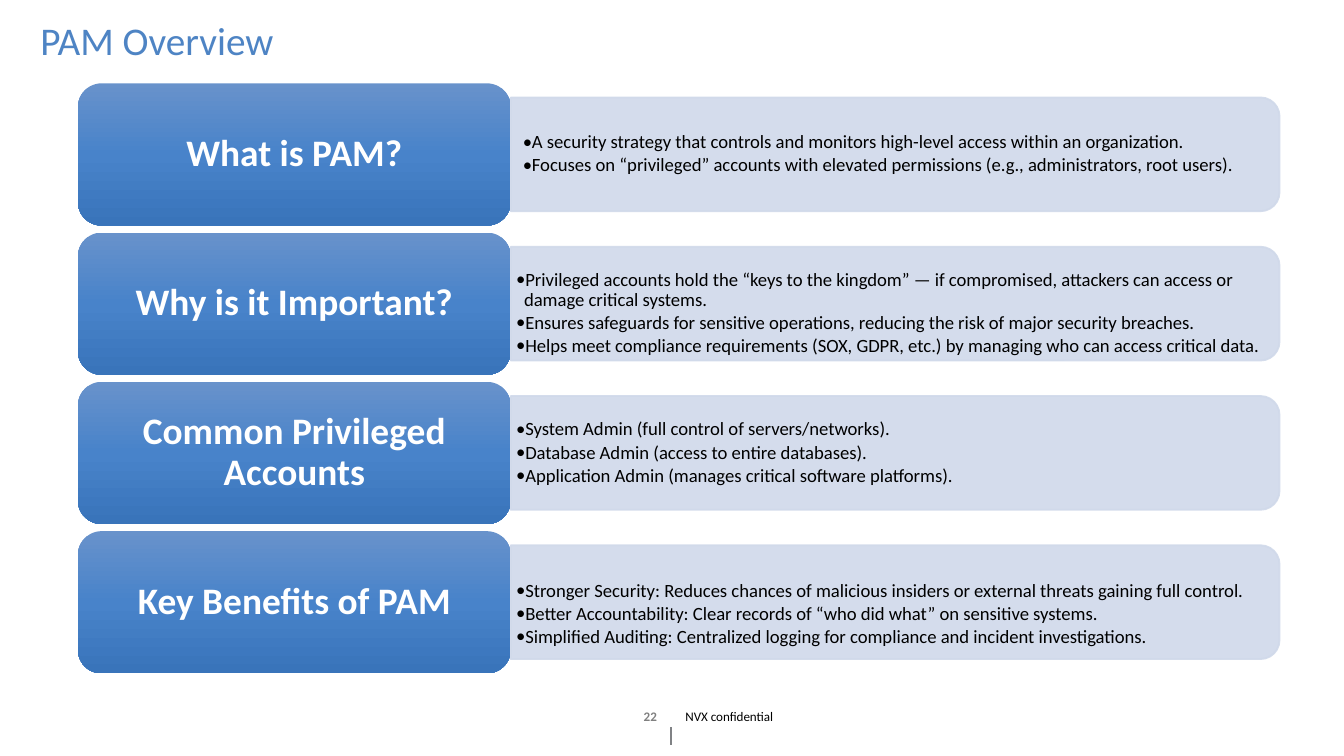
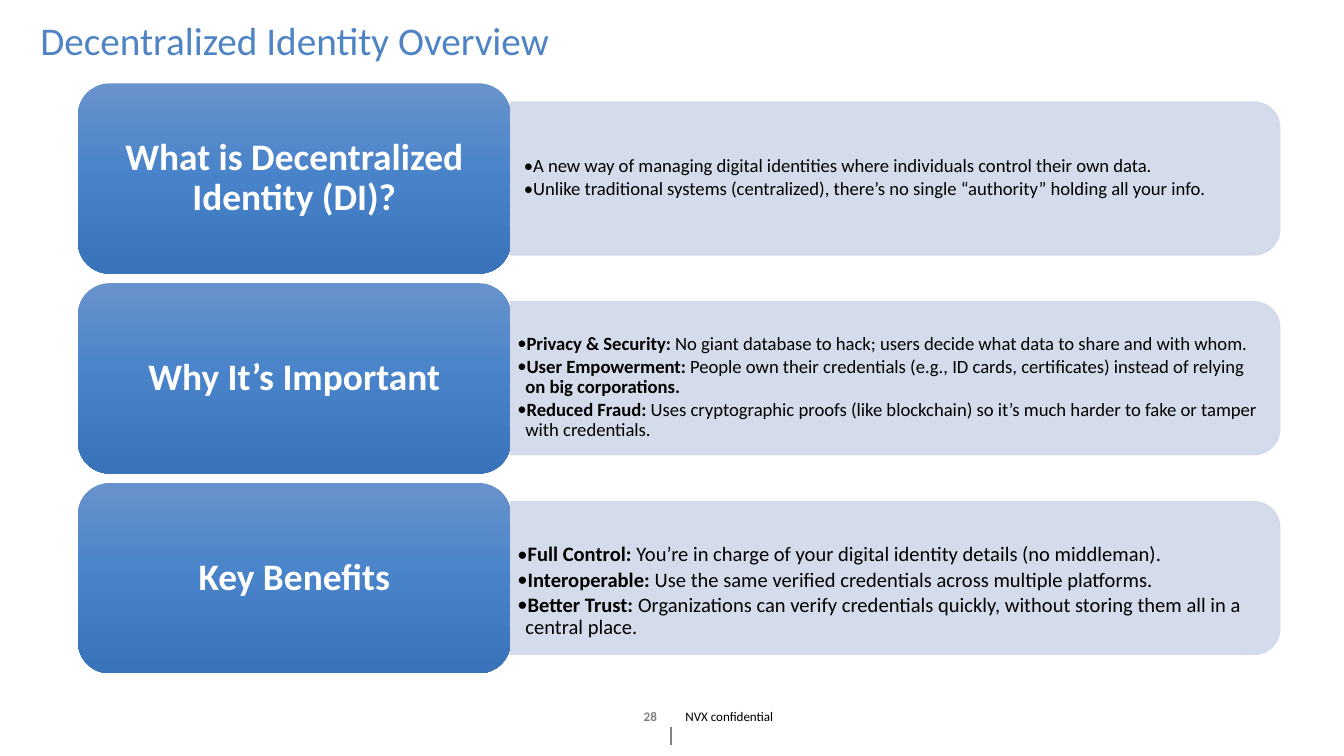
from copy import deepcopy

from lxml import etree
from pptx import Presentation
from pptx import util as u
from pptx.dml.color import RGBColor
from pptx.enum import shapes, text
from pptx.oxml.ns import qn

COLORS = {
    "title": "4E84C4", "body": "000000", "number": "808080", "rule": "808285",
    "panel": "D0D9EA", "header": "FFFFFF",
}
HEADER_GRADIENT = [(0, "6892CB"), (0.5, "4883CA"), (1, "3974BA")]
FONT = "Calibri"

# Columns and the band of rows, in inches
HEADER_LEFT, PANEL_LEFT, PANEL_RIGHT = 0.58, 3.8, 9.52
ROWS_TOP, ROWS_HEIGHT = 0.62, 4.39
GAP_SHARE, PANEL_SHARE, TEXT_SHARE = 0.05, 0.8, 0.72  # shares of a header's height
PANEL_WIDTH = PANEL_RIGHT - PANEL_LEFT

# Each row: header, bullets (*bold* parts), text size, side inset, downward shift
SLIDES = [
    ("PAM Overview", "22", [
        ("What is PAM?", [
            "A security strategy that controls and monitors high-level access within an organization.",
            "Focuses on “privileged” accounts with elevated permissions (e.g., administrators, root users).",
        ], 10, 0.09, 0),
        ("Why is it Important?", [
            "Privileged accounts hold the “keys to the kingdom” — if compromised, attackers can access or damage critical systems.",
            "Ensures safeguards for sensitive operations, reducing the risk of major security breaches.",
            "Helps meet compliance requirements (SOX, GDPR, etc.) by managing who can access critical data.",
        ], 10, 0.04, 0.07),
        ("Common Privileged Accounts", [
            "System Admin (full control of servers/networks).",
            "Database Admin (access to entire databases).",
            "Application Admin (manages critical software platforms).",
        ], 10, 0.04, 0),
        ("Key Benefits of PAM", [
            "Stronger Security: Reduces chances of malicious insiders or external threats gaining full control.",
            "Better Accountability: Clear records of “who did what” on sensitive systems.",
            "Simplified Auditing: Centralized logging for compliance and incident investigations.",
        ], 10, 0.04, 0.09),
    ]),
    ("Decentralized Identity Overview", "28", [
        ("What is Decentralized Identity (DI)?", [
            "A new way of managing digital identities where individuals control their own data.",
            "Unlike traditional systems (centralized), there’s no single “authority” holding all your info.",
        ], 10, 0.1, 0),
        ("Why It’s Important", [
            "*Privacy & Security: *No giant database to hack; users decide what data to share and with whom.",
            "*User Empowerment: *People own their credentials (e.g., ID cards, certificates) instead of relying *on big corporations.*",
            "*Reduced Fraud: *Uses cryptographic proofs (like blockchain) so it’s much harder to fake or tamper with credentials.",
        ], 10, 0.05, 0.07),
        ("Key Benefits", [
            "*Full Control: *You’re in charge of your digital identity details (no middleman).",
            "*Interoperable: *Use the same verified credentials across multiple platforms.",
            "*Better Trust: *Organizations can verify credentials quickly, without storing them all in a central place.",
        ], 11, 0.05, 0.1),
    ]),
]


def write(shape, lines, size, color, bold=False, align=text.PP_ALIGN.LEFT,
          insets=(0.07, 0.04), bullets=False, spacing=0.9):
    """Fill a shape with paragraphs; parts between asterisks are bold."""
    frame = shape.text_frame
    frame.word_wrap = True
    frame.auto_size = text.MSO_AUTO_SIZE.NONE
    frame.vertical_anchor = text.MSO_ANCHOR.MIDDLE
    frame.margin_left = frame.margin_right = u.Inches(insets[0])
    frame.margin_top = frame.margin_bottom = u.Inches(insets[1])
    for index, line in enumerate(lines):
        paragraph = frame.paragraphs[0] if index == 0 else frame.add_paragraph()
        paragraph.alignment = align
        paragraph.line_spacing = spacing
        if bullets:
            paragraph.space_after = u.Pt(size * 0.15)
            properties = paragraph._p.get_or_add_pPr()
            properties.set("marL", str(u.Inches(0.06)))
            properties.set("indent", str(-u.Inches(0.06)))
            etree.SubElement(properties, qn("a:buFont")).set("typeface", FONT)
            etree.SubElement(properties, qn("a:buChar")).set("char", "•")
        for part_index, part in enumerate(line.split("*")):
            if part:
                run = paragraph.add_run()
                run.text = part
                run.font.name = FONT
                run.font.size = u.Pt(size)
                run.font.bold = bold or part_index % 2 == 1
                run.font.color.rgb = RGBColor.from_string(COLORS[color])


def inches(*lengths):
    return [u.Inches(length) for length in lengths]


presentation = Presentation()
presentation.slide_width, presentation.slide_height = inches(10, 10 * 9 / 16)
title_only = presentation.slide_layouts[5]

for title, number, rows in SLIDES:
    slide = presentation.slides.add_slide(title_only)
    heading = slide.shapes.title
    heading.left, heading.top, heading.width, heading.height = inches(0.2, 0.12, 9.6, 0.4)
    write(heading, [title], 21, "title", insets=(0.1, 0.05))

    rule = slide.shapes.add_connector(shapes.MSO_CONNECTOR.STRAIGHT, *inches(4.99, 5.41, 4.99, 5.54))
    rule.line.color.rgb = RGBColor.from_string(COLORS["rule"])
    rule.line.width = u.Pt(1)
    etree.SubElement(rule._element.spPr, qn("a:effectLst"))

    footer = slide.shapes.add_textbox(*inches(5.03, 5.26, 2.05, 0.14))
    write(footer, ["NVX confidential"], 7, "body", spacing=1)
    page_number = slide.shapes.add_textbox(*inches(4.72, 5.26, 0.33, 0.14))
    write(page_number, [number], 7, "number", bold=True, spacing=1)

    row_height = ROWS_HEIGHT / (len(rows) + GAP_SHARE * (len(rows) - 1))
    for row, (label, bullets, size, inset, shift) in enumerate(rows):
        top = ROWS_TOP + row * row_height * (1 + GAP_SHARE)
        middle = top + row_height / 2

        # The panel is an upright tab turned a quarter to the right
        thickness = row_height * PANEL_SHARE
        panel = slide.shapes.add_shape(
            shapes.MSO_SHAPE.ROUND_2_SAME_RECTANGLE,
            *inches((PANEL_LEFT + PANEL_RIGHT - thickness) / 2, middle - PANEL_WIDTH / 2,
                    thickness, PANEL_WIDTH))
        panel.rotation = 90
        panel.shadow.inherit = False
        panel.fill.solid()
        panel.line.width = u.Pt(1)
        for paint in (panel.fill.fore_color, panel.line.color):
            paint.rgb = RGBColor.from_string(COLORS["panel"])
        for color in panel._element.spPr.iter(qn("a:srgbClr")):
            etree.SubElement(color, qn("a:alpha")).set("val", "90000")

        text_height = row_height * TEXT_SHARE
        details = slide.shapes.add_textbox(
            *inches(PANEL_LEFT, middle - text_height / 2 + shift, PANEL_WIDTH - 0.06, text_height))
        write(details, bullets, size, "body", insets=(inset, 0.02), bullets=True)

        header = slide.shapes.add_shape(
            shapes.MSO_SHAPE.ROUNDED_RECTANGLE,
            *inches(HEADER_LEFT, top, PANEL_LEFT - HEADER_LEFT, row_height))
        header.shadow.inherit = False
        header.line.fill.background()
        header.fill.gradient()
        header.fill.gradient_angle = 270
        stop_list = header._element.spPr.find(qn("a:gradFill")).find(qn("a:gsLst"))
        stop_list.append(deepcopy(stop_list[0]))
        for stop, (position, color) in zip(header.fill.gradient_stops, HEADER_GRADIENT):
            stop.position = position
            stop.color.rgb = RGBColor.from_string(color)
        write(header, [label], 20, "header", bold=True, align=text.PP_ALIGN.CENTER,
              insets=(0.08, 0.04))

presentation.save("out.pptx")
